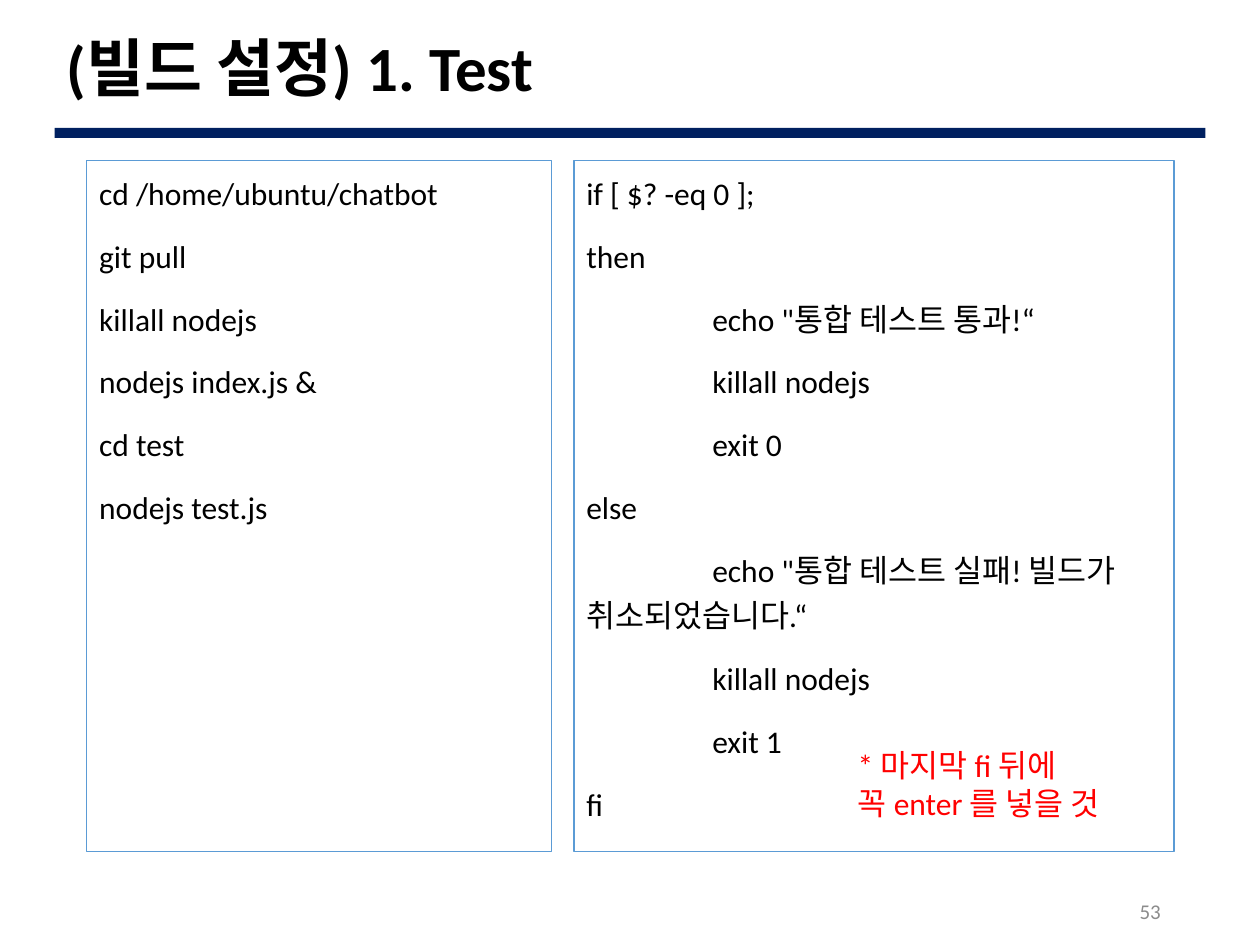
from dataclasses import dataclass
from typing import Optional

from lxml.etree import SubElement
from pptx import Presentation
from pptx.dml.color import RGBColor
from pptx.enum.shapes import MSO_SHAPE
from pptx.enum.text import MSO_ANCHOR as Anchor, PP_ALIGN as Align
from pptx.oxml.ns import qn
from pptx.slide import Slide
from pptx.util import Cm, Pt

BLACK = RGBColor(0x00, 0x00, 0x00)
NAVY = RGBColor(0x00, 0x20, 0x60)
BLUE = RGBColor(0x5B, 0x9B, 0xD5)
GRAY = RGBColor(0x8C, 0x8C, 0x8C)
RED = RGBColor(0xFF, 0x00, 0x00)
FONT = "Calibri"
CODE_INDENT = Cm(2.54)

SETUP_SCRIPT = (
    "cd /home/ubuntu/chatbot",
    "git pull",
    "killall nodejs",
    "nodejs index.js &",
    "cd test",
    "nodejs test.js",
)
RESULT_SCRIPT = (
    "if [ $? -eq 0 ];",
    "then",
    "\techo \"통합 테스트 통과!“",
    "\tkillall nodejs",
    "\texit 0",
    "else",
    "\techo \"통합 테스트 실패! 빌드가 취소되었습니다.“",
    "\tkillall nodejs",
    "\texit 1",
    "fi",
)


@dataclass(frozen=True)
class TextBlock:
    """Text lines with their place in centimetres and their style."""

    left: float
    top: float
    width: float
    height: float
    lines: tuple[str, ...]
    size: int = 18
    color: RGBColor = BLACK
    bold: bool = False
    anchor: Anchor = Anchor.TOP
    align: Align = Align.LEFT
    line_spacing: float = 1.0
    space_before: int = 0
    border: Optional[RGBColor] = None


def code_panel(left: float, width: float, lines: tuple[str, ...]) -> TextBlock:
    """Describe a bordered panel of shell code."""
    return TextBlock(left, 3.23, width, 13.94, lines,
                     line_spacing=1.2, space_before=10, border=BLUE)


def draw_text(slide: Slide, block: TextBlock) -> None:
    """Draw one text block."""
    box = slide.shapes.add_textbox(
        Cm(block.left), Cm(block.top), Cm(block.width), Cm(block.height))
    if block.border is not None:
        box.line.color.rgb = block.border
        box.line.width = Pt(0.75)
    frame = box.text_frame
    frame.word_wrap = True
    frame.vertical_anchor = block.anchor
    frame.text = "\n".join(block.lines)
    for index, line in enumerate(frame.paragraphs):
        line.alignment = block.align
        line.line_spacing = block.line_spacing
        line.space_before = Pt(block.space_before if index else 0)
        properties = line._p.get_or_add_pPr()
        if line.text.startswith("\t"):
            tabs = SubElement(properties, qn("a:tabLst"))
            SubElement(tabs, qn("a:tab"), pos=str(int(CODE_INDENT)), algn="l")
        line.font.name = FONT
        line.font.size = Pt(block.size)
        line.font.bold = block.bold
        line.font.color.rgb = block.color
        SubElement(properties.find(qn("a:defRPr")), qn("a:ea"), typeface=FONT)


def draw_title_rule(slide: Slide) -> None:
    """Draw the navy bar under the title."""
    rule = slide.shapes.add_shape(
        MSO_SHAPE.RECTANGLE, Cm(1.1), Cm(2.58), Cm(23.2), Cm(0.2))
    rule.shadow.inherit = False
    rule.fill.solid()
    rule.fill.fore_color.rgb = NAVY
    rule.line.fill.background()


def main() -> None:
    """Build the build-settings slide and save it."""
    deck = Presentation()
    deck.slide_width, deck.slide_height = Cm(25.4), Cm(19.05)
    slide = deck.slides.add_slide(deck.slide_layouts[6])
    draw_title_rule(slide)
    blocks = (
        TextBlock(1.1, 0.45, 23.2, 1.95, ("(빌드 설정) 1. Test",), size=36,
                  bold=True, anchor=Anchor.MIDDLE, line_spacing=0.9),
        code_panel(1.75, 9.37, SETUP_SCRIPT),
        code_panel(11.57, 12.1, RESULT_SCRIPT),
        TextBlock(17.93, 17.92, 5.72, 0.9, ("53",), size=12, color=GRAY,
                  anchor=Anchor.MIDDLE, align=Align.RIGHT),
        TextBlock(17.04, 14.91, 6, 1.8,
                  ("* 마지막 fi 뒤에", "꼭 enter 를 넣을 것"), color=RED),
    )
    for block in blocks:
        draw_text(slide, block)
    deck.save("out.pptx")


if __name__ == "__main__":
    main()
